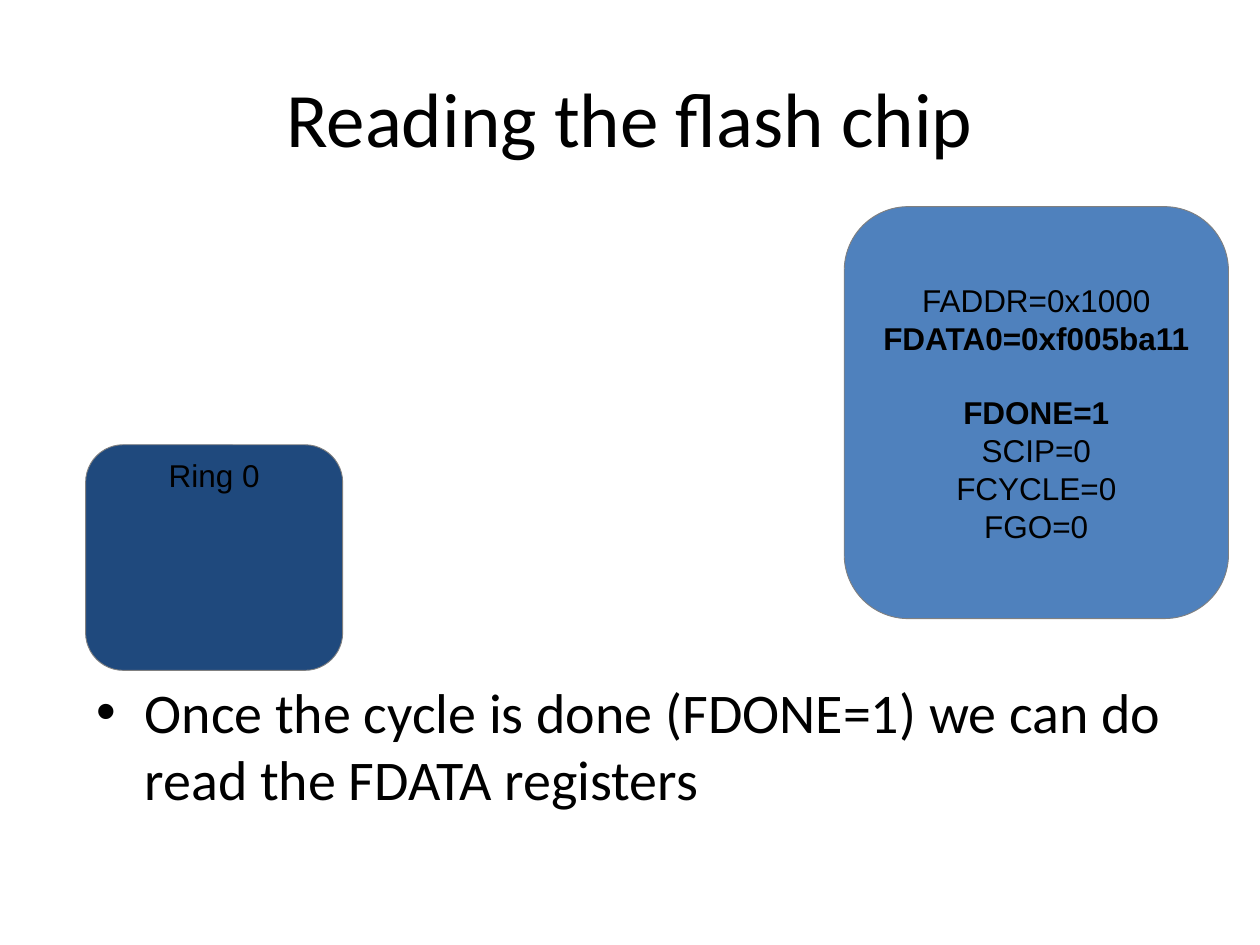
from lxml.etree import SubElement
from pptx import Presentation
from pptx.dml.color import RGBColor
from pptx.enum.shapes import MSO_SHAPE
from pptx.enum.text import MSO_ANCHOR, PP_ALIGN
from pptx.oxml.ns import qn
from pptx.util import Inches, Pt


def color(value):
    return RGBColor.from_string(value)


class FlashSlide:
    heading_font = "Calibri"
    label_font = "Arial"
    ink = "000000"
    outline = "808080"

    def __init__(self, slide):
        self.slide = slide

    def style(self, paragraph, font, size, bold=False):
        for run in paragraph.runs:
            run.font.name = font
            run.font.size = Pt(size)
            run.font.bold = bold
            run.font.color.rgb = color(self.ink)

    def text_box(self, text, left, top, width, height, size):
        box = self.slide.shapes.add_textbox(
            Inches(left), Inches(top), Inches(width), Inches(height))
        frame = box.text_frame
        frame.word_wrap = True
        frame.text = text
        self.style(frame.paragraphs[0], self.heading_font, size)
        return frame

    def title(self, text, *place):
        frame = self.text_box(text, *place, size=44)
        frame.vertical_anchor = MSO_ANCHOR.MIDDLE
        frame.paragraphs[0].alignment = PP_ALIGN.CENTER

    def bullet(self, text, *place):
        frame = self.text_box(text, *place, size=32)
        properties = frame.paragraphs[0]._p.get_or_add_pPr()
        properties.set("marL", str(Inches(0.38)))
        properties.set("indent", str(Inches(-0.38)))
        SubElement(properties, qn("a:buFont"), typeface="Arial")
        SubElement(properties, qn("a:buChar"), char="•")

    def block(self, lines, left, top, width, height, fill, anchor, bold=()):
        block = self.slide.shapes.add_shape(
            MSO_SHAPE.ROUNDED_RECTANGLE,
            Inches(left), Inches(top), Inches(width), Inches(height))
        block.shadow.inherit = False
        block.fill.solid()
        block.fill.fore_color.rgb = color(fill)
        block.line.color.rgb = color(self.outline)
        block.line.width = Pt(0.5)
        frame = block.text_frame
        frame.word_wrap = True
        frame.margin_top = frame.margin_bottom = 0
        frame.vertical_anchor = anchor
        frame.text = "\n".join(lines)
        for paragraph in frame.paragraphs:
            paragraph.alignment = PP_ALIGN.CENTER
            self.style(paragraph, self.label_font, 18, paragraph.text in bold)
        return frame


def main():
    presentation = Presentation()
    presentation.slide_width = Inches(10)
    presentation.slide_height = Inches(7.5)
    page = FlashSlide(presentation.slides.add_slide(presentation.slide_layouts[6]))

    page.title("Reading the flash chip", 0.5, 0.3, 9, 1.25)
    page.bullet("Once the cycle is done (FDONE=1) we can do read the FDATA registers",
                0.67, 5.33, 9, 1.58)

    data = ["FADDR=0x1000", "FDATA0=0xf005ba11"]
    status = ["FDONE=1", "SCIP=0", "FCYCLE=0", "FGO=0"]
    registers = page.block(data + status, 6.7, 1.64, 3.05, 3.27, "4F81BD",
                           MSO_ANCHOR.MIDDLE, bold=(data[1], status[0]))
    registers.paragraphs[len(data)].space_before = Pt(21)
    page.block(["Ring 0"], 0.68, 3.53, 2.04, 1.79, "1F497D", MSO_ANCHOR.TOP)

    presentation.save("out.pptx")


if __name__ == "__main__":
    main()
